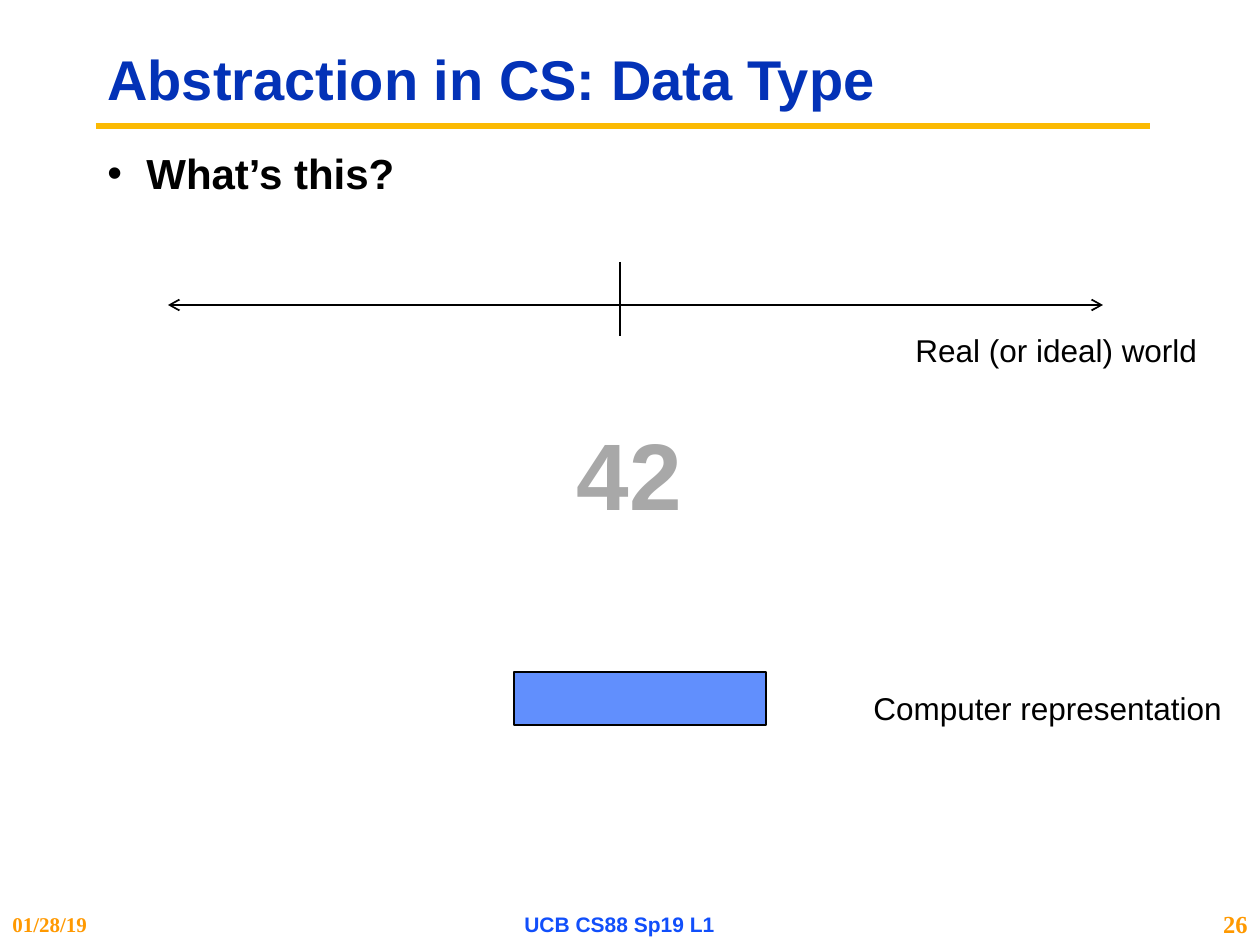
from lxml.etree import SubElement
from pptx import Presentation
from pptx.dml.color import RGBColor
from pptx.enum.shapes import MSO_CONNECTOR, MSO_SHAPE
from pptx.enum.text import MSO_ANCHOR, PP_ALIGN
from pptx.oxml.ns import qn
from pptx.util import Emu, Pt

PX_PER_INCH = 126
PAGE_WIDTH, PAGE_HEIGHT = 1260, 945

BLACK = RGBColor(0x00, 0x00, 0x00)
GOLD = RGBColor(0xFB, 0xBA, 0x03)
TITLE_BLUE = RGBColor(0x03, 0x32, 0xB7)
FOOTER_BLUE = RGBColor(0x11, 0x4F, 0xFB)
ORANGE = RGBColor(0xFF, 0x99, 0x00)
GRAY = RGBColor(0xA8, 0xA8, 0xA8)
MEMORY_BLUE = RGBColor(0x61, 0x8F, 0xFD)


def px(length):
    return Emu(round(length * 914400 / PX_PER_INCH))


def add_text(page, box, text, size, color=BLACK, bold=False, font="Arial",
             align=PP_ALIGN.LEFT, anchor=MSO_ANCHOR.TOP, wrap=True):
    """Place one styled paragraph in the box and return the paragraph."""
    frame = page.shapes.add_textbox(*map(px, box)).text_frame
    frame.word_wrap = wrap
    frame.vertical_anchor = anchor
    para = frame.paragraphs[0]
    para.alignment = align
    span = para.add_run()
    span.text = text
    span.font.name = font
    span.font.size = Pt(size)
    span.font.bold = bold
    span.font.color.rgb = color
    return para


def add_line(page, start, end, color=BLACK, width=1, arrows=False):
    line = page.shapes.add_connector(MSO_CONNECTOR.STRAIGHT, *map(px, start + end))
    line.line.color.rgb = color
    line.line.width = Pt(width)
    if arrows:
        outline = line.line._get_or_add_ln()
        for tag in ("a:headEnd", "a:tailEnd"):
            SubElement(outline, qn(tag), type="arrow")
    SubElement(line._element.spPr, qn("a:effectLst"))


def add_heading(page, box):
    left, top, width, height = box
    # Gold rule below the title
    rule = top + 95
    add_line(page, (left + 1, rule), (left + 1055, rule), GOLD, 3.75)
    # Title
    title = add_text(page, box, "Abstraction in CS: Data Type", 32, TITLE_BLUE,
                     bold=True, anchor=MSO_ANCHOR.MIDDLE)
    title.line_spacing = 0.9


def add_question(page, box):
    para = add_text(page, box, "What’s this?", 24, bold=True)
    para.line_spacing = 0.9
    properties = para._p.get_or_add_pPr()
    properties.set("marL", str(px(39)))
    properties.set("indent", str(px(-39)))
    SubElement(properties, qn("a:buFont"), typeface="Arial")
    SubElement(properties, qn("a:buChar"), char="•")


def add_number_line(page, box):
    left, top, width, height = box
    axis, origin = top + 43, left + 452
    add_line(page, (left, axis), (left + width, axis), arrows=True)
    add_line(page, (origin, top), (origin, top + height))
    add_text(page, (left + 735, top + 63, 310, 50), "Real (or ideal) world", 18, wrap=False)


def add_memory(page, box):
    left, top, width, height = box
    cell = page.shapes.add_shape(MSO_SHAPE.RECTANGLE, *map(px, box))
    cell.shadow.inherit = False
    cell.fill.solid()
    cell.fill.fore_color.rgb = MEMORY_BLUE
    cell.line.color.rgb = BLACK
    cell.line.width = Pt(1)
    add_text(page, (left + 347, top + 11, 377, 50), "Computer representation", 18, wrap=False)


def add_footer(page, box):
    left, top, width, height = box
    parts = [
        (0, 210, "01/28/19", 12, ORANGE, "Times New Roman", PP_ALIGN.LEFT),
        (420, 399, "UCB CS88 Sp19 L1", 12, FOOTER_BLUE, "Arial", PP_ALIGN.CENTER),
        (width - 73, 73, "26", 14, ORANGE, "Times New Roman", PP_ALIGN.RIGHT),
    ]
    for offset, part_width, text, size, color, font, align in parts:
        add_text(page, (left + offset, top, part_width, height), text, size, color,
                 bold=True, font=font, align=align, anchor=MSO_ANCHOR.MIDDLE)


def main():
    deck = Presentation()
    deck.slide_width, deck.slide_height = px(PAGE_WIDTH), px(PAGE_HEIGHT)
    page = deck.slides.add_slide(deck.slide_layouts[6])

    add_heading(page, (95, 31, 1061, 102))
    add_question(page, (95, 147, 1050, 116))
    add_footer(page, (0, 903, PAGE_WIDTH, 42))
    # The value between the real world and the computer
    add_text(page, (564, 410, 131, 127), "42", 54, GRAY, bold=True,
             align=PP_ALIGN.CENTER, wrap=False)
    add_memory(page, (514, 672, 252, 53))
    add_number_line(page, (168, 262, 935, 74))

    deck.save("out.pptx")


if __name__ == "__main__":
    main()
